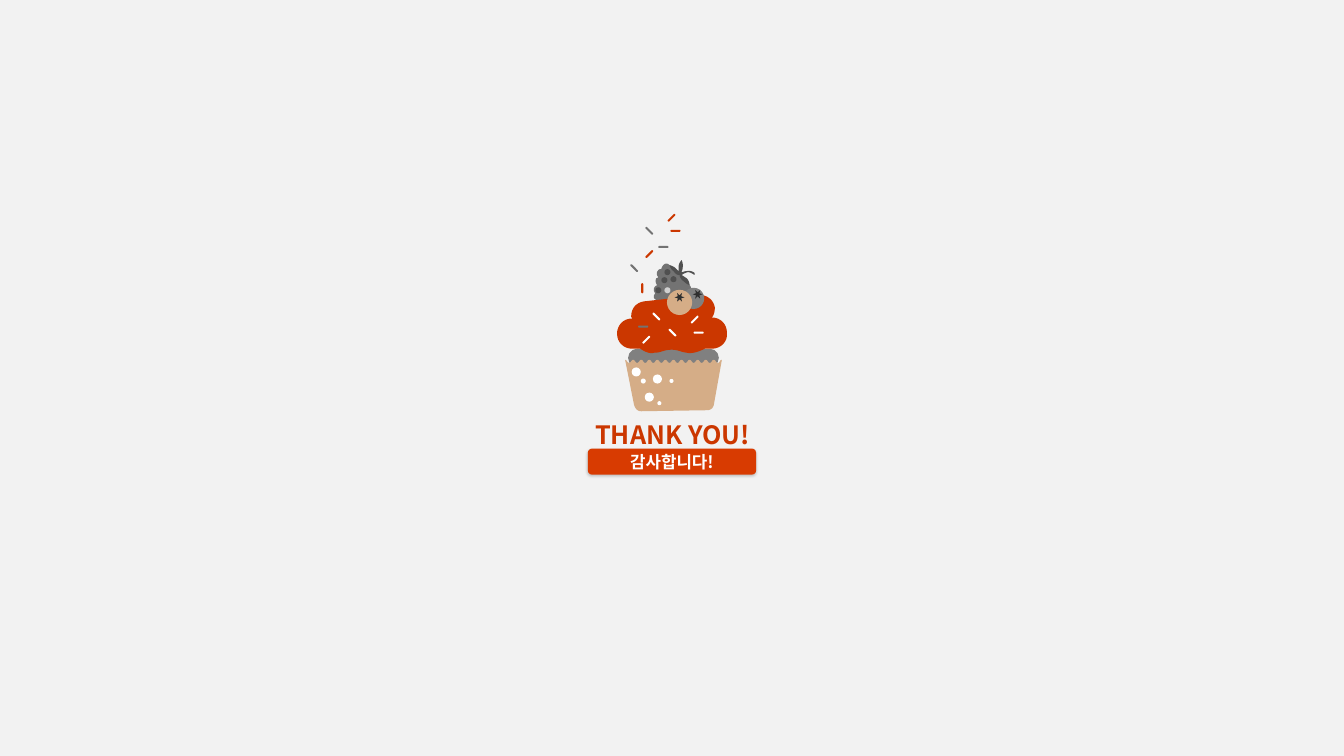
from collections import namedtuple
from dataclasses import dataclass
from math import cos, pi, sin

from lxml import etree
from pptx import Presentation
from pptx import util as u
from pptx.dml.color import RGBColor
from pptx.enum import shapes, text
from pptx.oxml import ns

Box = namedtuple("Box", "left top width height")


@dataclass(frozen=True)
class Theme:
    """Colours, font and type sizes of the deck."""
    page: str = "F2F2F2"
    red: str = "CB3700"
    banner: str = "D83B01"
    tan: str = "D5AD87"
    white: str = "FFFFFF"
    light: str = "D0D0D0"
    grey: str = "808080"
    slate: str = "737373"
    dark: str = "505050"
    ink: str = "2F2F2F"
    shadow: str = "000000"
    font: str = "Noto Sans CJK KR"
    title_size: int = 18
    banner_size: int = 12


THEME = Theme()

FROSTING = [
    (.94, 1.03), (.96, 1.01, .97, .97, .97, .93), (.96, .86, .89, .8, .82, .81),
    (.27, .87), (.19, .88, .14, .94, .14, 1.02), (.14, 1.03, .15, 1.03, .15, 1.04),
    (.06, 1.04, 0, 1.11, 0, 1.19), (0, 1.28, .07, 1.34, .15, 1.34), (.23, 1.34),
    (.29, 1.38, .33, 1.39, .37, 1.38), (.44, 1.38, .46, 1.35, .54, 1.35),
    (.61, 1.35, .62, 1.37, .69, 1.38), (.73, 1.39, .79, 1.38, .87, 1.34),
    (.94, 1.34), (1.03, 1.34, 1.1, 1.27, 1.09, 1.18),
    (1.09, 1.1, 1.03, 1.03, .94, 1.03)]
BLACKBERRY = [
    (.68, .78), (.7, .78, .71, .78, .72, .77), (.74, .75, .74, .73, .72, .71),
    (.52, .51), (.5, .49, .48, .49, .46, .51), (.45, .52, .44, .54, .44, .55),
    (.43, .55, .42, .55, .41, .56), (.39, .58, .39, .61, .41, .63),
    (.41, .63, .4, .64, .39, .64), (.38, .66, .38, .69, .4, .71),
    (.39, .71, .38, .72, .38, .72), (.36, .74, .36, .77, .38, .79),
    (.36, .81, .36, .84, .38, .85), (.4, .87, .43, .87, .45, .86),
    (.46, .87, .49, .87, .51, .85), (.51, .85, .52, .84, .52, .83),
    (.54, .85, .57, .85, .59, .84), (.6, .83, .6, .82, .6, .82),
    (.62, .84, .65, .84, .67, .82), (.68, .81, .68, .8, .68, .78)]
LEAVES = [
    (.77, .59), (.76, .58, .73, .56, .69, .57), (.67, .57, .65, .58, .64, .58),
    (.64, .57, .65, .56, .65, .54), (.66, .5, .64, .46, .64, .46),
    (.64, .46, .61, .49, .61, .53), (.61, .55, .61, .56, .61, .57),
    (.6, .56, .59, .55, .58, .54), (.56, .52, .52, .51, .52, .51),
    (.52, .51, .53, .55, .56, .57), (.58, .6, .6, .61, .62, .61),
    (.62, .62, .63, .65, .66, .67), (.69, .7, .72, .71, .72, .71),
    (.72, .71, .72, .67, .69, .64), (.67, .63, .65, .61, .64, .61),
    (.65, .6, .67, .59, .7, .58), (.73, .58, .75, .6, .76, .6),
    (.76, .61, .77, .61, .77, .6)]
WRAPPER_DOTS = [(.19, 1.57, .09), (.4, 1.64, .09), (.32, 1.82, .09),
                (.26, 1.66, .05), (.42, 1.88, .04), (.54, 1.66, .04)]
SEEDS = [(.56, .65, THEME.dark), (.47, .66, THEME.dark), (.5, .58, THEME.dark),
         (.5, .76, THEME.light), (.41, .76, THEME.dark)]
SPRINKLES = [
    (.26, 1.12, 0, THEME.slate), (.29, 1.25, -45, THEME.white),
    (.77, 1.05, -45, THEME.white), (.55, 1.18, 45, THEME.white),
    (.39, 1.02, 45, THEME.white), (.81, 1.18, 0, THEME.white),
    (.46, .33, 0, THEME.slate), (.25, .74, 90, THEME.red),
    (.17, .54, 45, THEME.slate), (.54, .04, -45, THEME.red),
    (.32, .4, -45, THEME.red), (.32, .17, 45, THEME.slate),
    (.58, .17, 0, THEME.red)]


def paint(shape, colour):
    """Give a shape a flat fill with neither line nor shadow."""
    shape.shadow.inherit = False
    shape.fill.solid()
    shape.fill.fore_color.rgb = RGBColor.from_string(colour)
    shape.line.fill.background()
    return shape


def add_preset(parent, kind, box, colour):
    """Add a flat preset shape."""
    return paint(parent.add_shape(kind, *map(u.Inches, box)), colour)


def add_disc(parent, box, x, y, size, colour):
    """Add a circle centred on a point of the box."""
    place = Box(box.left + x - size / 2, box.top + y - size / 2, size, size)
    add_preset(parent, shapes.MSO_SHAPE.OVAL, place, colour)


def add_pill(parent, place, colour):
    """Add a bar with fully round ends."""
    pill = add_preset(parent, shapes.MSO_SHAPE.ROUNDED_RECTANGLE, place, colour)
    pill.adjustments[0] = .5
    return pill


def flatten(outline, steps=8):
    """Turn points and cubic curves into a list of points."""
    points = [outline[0]]
    for part in outline[1:]:
        if len(part) == 2:
            points.append(part)
            continue
        knots = [points[-1], part[:2], part[2:4], part[4:]]
        for step in range(1, steps + 1):
            t = step / steps
            weights = ((1 - t) ** 3, 3 * t * (1 - t) ** 2, 3 * t * t * (1 - t), t ** 3)
            points.append(tuple(sum(w * knot[axis] for w, knot in zip(weights, knots))
                                for axis in (0, 1)))
    return points


def add_outline(parent, box, outline, colour):
    """Add a closed freeform drawn from the corner of the box."""
    points = [(u.Inches(box.left + x), u.Inches(box.top + y)) for x, y in flatten(outline)]
    builder = parent.build_freeform(*points[0])
    builder.add_line_segments(points[1:], close=True)
    paint(builder.convert_to_shape(), colour)


def wrapper_outline(right=1.04, top=1.45, wave=.03, half=.04, count=24):
    """Return the paper cup with its scalloped rim."""
    outline = [(right, top)]
    for index in range(count):
        x = right - index * half
        start, end = (top, top + wave) if index % 2 == 0 else (top + wave, top)
        outline.append((x - half / 2, start, x - half / 2, end, x - half, end))
    return outline + [(.17, 1.9), (.18, 1.93, .2, 1.96, .24, 1.96), (.89, 1.95),
                      (.93, 1.95, .95, 1.93, .96, 1.9)]


def star_outline(x, y, outer=.05, inner=.02):
    """Return a six-pointed star around a point."""
    return [(x + radius * cos(i * pi / 6), y + radius * sin(i * pi / 6))
            for i in range(12) for radius in [inner if i % 2 else outer]]


def draw_cupcake(page, box):
    """Draw the cupcake with its berries and sprinkles."""
    parent = page.shapes.add_group_shape().shapes
    add_pill(parent, Box(box.left + .11, box.top + 1.34, .9, .18), THEME.grey)
    add_outline(parent, box, wrapper_outline(), THEME.tan)
    for x, y, size in WRAPPER_DOTS:
        add_disc(parent, box, x, y, size, THEME.white)
    add_outline(parent, box, BLACKBERRY, THEME.slate)
    for x, y, colour in SEEDS:
        add_disc(parent, box, x, y, .06, colour)
    add_outline(parent, box, LEAVES, THEME.dark)
    add_outline(parent, box, FROSTING, THEME.red)
    for x, y, size, colour, star in [(.76, .84, .21, THEME.grey, (.8, .8)),
                                     (.62, .88, .25, THEME.tan, (.62, .83))]:
        add_disc(parent, box, x, y, size, colour)
        add_outline(parent, box, star_outline(*star), THEME.ink)
    for x, y, angle, colour in SPRINKLES:
        place = Box(box.left + x - .05, box.top + y - .01, .1, .02)
        add_pill(parent, place, colour).rotation = angle


def write(shape, wording, size, colour):
    """Write one bold centred line into a shape."""
    shape.text_frame.text = wording
    para = shape.text_frame.paragraphs[0]
    para.alignment = text.PP_ALIGN.CENTER
    span = para.runs[0]
    span.font.size, span.font.bold, span.font.name = u.Pt(size), True, THEME.font
    span.font.color.rgb = RGBColor.from_string(colour)
    etree.SubElement(span._r.get_or_add_rPr(), ns.qn("a:ea"), typeface=THEME.font)


def draw_thanks(page, box):
    """Place the thank-you line above its banner."""
    banner = add_preset(page.shapes, shapes.MSO_SHAPE.ROUNDED_RECTANGLE,
                        Box(box.left + .05, box.top + .34, 1.67, .26), THEME.banner)
    effects = banner._element.spPr.find(ns.qn("a:effectLst"))
    shade = etree.SubElement(effects, ns.qn("a:outerShdw"), blurRad=str(u.Pt(2)),
                             dist=str(u.Pt(1)), dir="5400000", rotWithShape="0")
    tint = etree.SubElement(shade, ns.qn("a:srgbClr"), val=THEME.shadow)
    etree.SubElement(tint, ns.qn("a:alpha"), val="20000")
    banner.text_frame.vertical_anchor = text.MSO_ANCHOR.MIDDLE
    write(banner, "감사합니다!", THEME.banner_size, THEME.white)
    title = page.shapes.add_textbox(*map(u.Inches, (box.left, box.top, box.width, .4)))
    title.text_frame.word_wrap = False
    title.text_frame.auto_size = text.MSO_AUTO_SIZE.SHAPE_TO_FIT_TEXT
    write(title, "THANK YOU!", THEME.title_size, THEME.red)


def main():
    """Build the closing page and save the deck."""
    deck = Presentation()
    deck.slide_width, deck.slide_height = u.Inches(13.33), u.Inches(7.5)
    page = deck.slides.add_slide(deck.slide_layouts[6])
    page.background.fill.solid()
    page.background.fill.fore_color.rgb = RGBColor.from_string(THEME.page)
    draw_cupcake(page, Box(6.12, 2.12, 1.1, 1.96))
    draw_thanks(page, Box(5.78, 4.11, 1.78, .6))
    deck.save("out.pptx")


if __name__ == "__main__":
    main()
